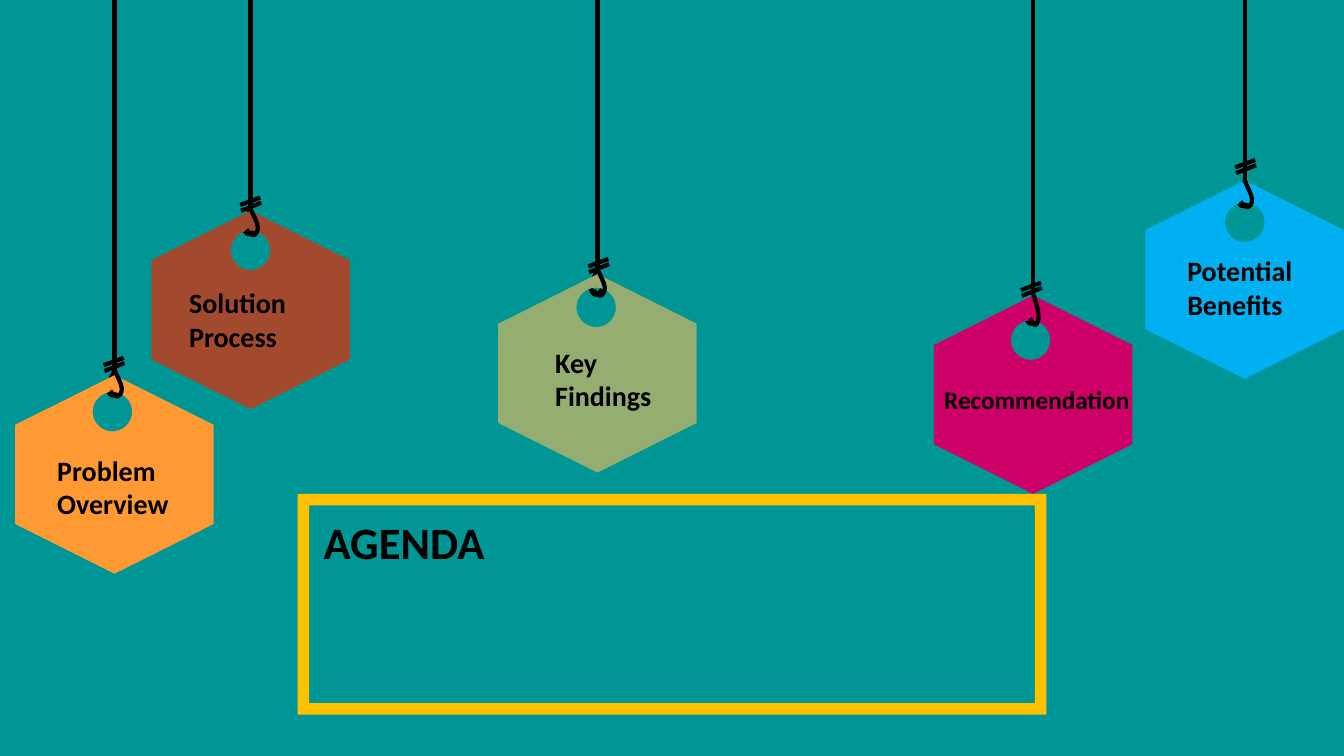
"""Build an agenda slide with five tags hanging from cords."""
import dataclasses

import lxml.etree
import pptx
import pptx.dml.color
import pptx.enum.shapes
import pptx.enum.text
import pptx.oxml.ns
import pptx.util

Pt = pptx.util.Pt
RGBColor = pptx.dml.color.RGBColor
TEAL = RGBColor(0x00, 0x96, 0x96)
BLACK = RGBColor(0x00, 0x00, 0x00)
GOLD = RGBColor(0xFF, 0xC0, 0x00)
RUST = RGBColor(0xA3, 0x4A, 0x2E)
SAGE = RGBColor(0x95, 0xAD, 0x70)
PINK = RGBColor(0xCC, 0x00, 0x66)
BLUE = RGBColor(0x00, 0xB0, 0xF0)
AMBER = RGBColor(0xFF, 0x99, 0x33)

SIDE = 141.8
HOLE = 14.1
HOOK = [(0, 0), (2.2, 5), (5, 10), (5.2, 13), (5.6, 16.2),
        (3.6, 18.7), (2.2, 19), (0.6, 19.2), (-1.2, 17.3), (-2.9, 15)]
BARS = [(-6.8, 1.5, 7.5, -4.2), (-7.4, -2.6, 6.9, -7.9)]


@dataclasses.dataclass
class Tag:
    """Hold the places and the words of one hanging tag."""

    x: float
    top: float
    hole: tuple
    knot: float
    cord: float
    tint: RGBColor
    spot: tuple
    lines: list
    size: int = 20
    high: float = 55.4
    rear: float = -0.7
    wide: float = 1
    tall: float = 1
    bar: tuple = (0, 0)


TAGS = [
    Tag(179, 150.5, (179, 178.8), 149, 149, RUST,
        (128, 200.5, 105.8), ["Solution Process"]),
    Tag(426.8, 195.8, (425.9, 219.6), 192.2, 191.5, SAGE,
        (389.5, 243.1, 87.8), ["Key Findings"], bar=(0.8, 0.7)),
    Tag(738, 211, (736.2, 243), 209.5, 211, PINK,
        (667.4, 271, 172), ["Recommendation"], size=18, high=29,
        rear=2.9, wide=0.75, tall=1.19, bar=(-1.3, 0.3)),
    Tag(889.1, 128.9, (889.2, 158.8), 129, 128.9, BLUE,
        (841, 177.8, 105.8), ["Potential", "Benefits"], bar=(0.6, -6.8)),
    Tag(81.8, 268, (80.3, 294.1), 264.2, 268, AMBER,
        (33.8, 320.1, 105.8), ["Problem Overview"], bar=(-0.4, -0.7)),
]


def trace(slide, loops, close, bends):
    """Return a freeform whose first bends are cubic curves."""
    build = None
    for loop in loops:
        spots = [(Pt(x), Pt(y)) for x, y in loop]
        if build is None:
            build = slide.shapes.build_freeform(*spots[0])
        else:
            build.move_to(*spots[0])
        build.add_line_segments(spots[1:], close=close)
    shape = build.convert_to_shape()
    shape.shadow.inherit = False
    qn = pptx.oxml.ns.qn
    legs = list(shape._element.iter(qn("a:lnTo")))
    for n in range(0, 3 * bends, 3):
        cubic = lxml.etree.Element(qn("a:cubicBezTo"))
        legs[n].addprevious(cubic)
        for leg in legs[n:n + 3]:
            cubic.append(leg[0])
            leg.getparent().remove(leg)
    return shape


def ink(line):
    """Give a line the black cord style."""
    line.color.rgb = BLACK
    line.width = Pt(3)


def add_hook(slide, x, y, wide, tall):
    """Draw half of the hook below a knot, mirrored when wide is negative."""
    spots = [(x + wide * dx, y + tall * dy) for dx, dy in HOOK]
    shape = trace(slide, [spots], False, 3)
    shape.fill.background()
    ink(shape.line)


def add_cord(slide, *ends):
    """Draw a straight piece of cord."""
    kind = pptx.enum.shapes.MSO_CONNECTOR.STRAIGHT
    cord = slide.shapes.add_connector(kind, *[Pt(v) for v in ends])
    ink(cord.line)
    props = cord._element.spPr
    lxml.etree.SubElement(props, pptx.oxml.ns.qn("a:effectLst"))


def add_label(slide, box, size, lines):
    """Write bold lines in a text box."""
    label = slide.shapes.add_textbox(*[Pt(v) for v in box])
    frame = label.text_frame
    frame.word_wrap = True
    frame.auto_size = pptx.enum.text.MSO_AUTO_SIZE.SHAPE_TO_FIT_TEXT
    for n, text in enumerate(lines):
        para = frame.add_paragraph() if n else frame.paragraphs[0]
        run = para.add_run()
        run.text = text
        run.font.name = "Calibri"
        run.font.size = Pt(size)
        run.font.bold = True
        run.font.color.rgb = BLACK


def add_plate(slide, tag):
    """Draw a holed hexagon with its label."""
    x, top = tag.x, tag.top
    half, unit = SIDE / 2, SIDE / 4
    left, right = x - half, x + half
    hexagon = [(x, top), (right, top + unit), (right, top + 3 * unit),
               (x, top + SIDE), (left, top + 3 * unit), (left, top + unit)]
    r, k = HOLE, HOLE * 0.55
    turn = [(0, -r), (-k, -r), (-r, -k), (-r, 0), (-r, k), (-k, r), (0, r),
            (k, r), (r, k), (r, 0), (r, -k), (k, -r), (0, -r)]
    ring = [(tag.hole[0] + dx, tag.hole[1] + dy) for dx, dy in turn]
    plate = trace(slide, [ring, hexagon], True, 4)
    plate.fill.solid()
    plate.fill.fore_color.rgb = tag.tint
    plate.line.fill.background()
    add_label(slide, (*tag.spot, tag.high), tag.size, tag.lines)


def add_knot(slide, tag):
    """Draw the front of the hook and the two bars of its knot."""
    add_hook(slide, tag.x, tag.knot, tag.wide, tag.tall)
    x, y = tag.x + tag.bar[0], tag.knot + tag.bar[1]
    for x1, y1, x2, y2 in BARS:
        add_cord(slide, x + x1, y + y1, x + x2, y + y2)


def add_title(slide, x, y, w, h):
    """Draw the gold frame with the slide title."""
    kind = pptx.enum.shapes.MSO_SHAPE.FRAME
    frame = slide.shapes.add_shape(kind, Pt(x), Pt(y), Pt(w), Pt(h))
    frame.shadow.inherit = False
    frame.adjustments[0] = 0.052
    frame.fill.solid()
    frame.fill.fore_color.rgb = GOLD
    frame.line.fill.background()
    add_label(slide, (x + 11.5, y + 11.1, 203.8, 46), 32, ["AGENDA"])


def main():
    """Build and save the slide."""
    deck = pptx.Presentation()
    deck.slide_width, deck.slide_height = Pt(960), Pt(540)
    slide = deck.slides.add_slide(deck.slide_layouts[6])
    slide.background.fill.solid()
    slide.background.fill.fore_color.rgb = TEAL
    for tag in TAGS:
        add_hook(slide, tag.x + 0.5, tag.knot + tag.rear, -1, 1)
    for tag in TAGS:
        add_plate(slide, tag)
    for tag in TAGS:
        add_cord(slide, tag.x, tag.cord, tag.x, 0)
    add_title(slide, 212.6, 352.8, 534.8, 157.7)
    for tag in TAGS:
        add_knot(slide, tag)
    deck.save("out.pptx")


if __name__ == "__main__":
    main()
